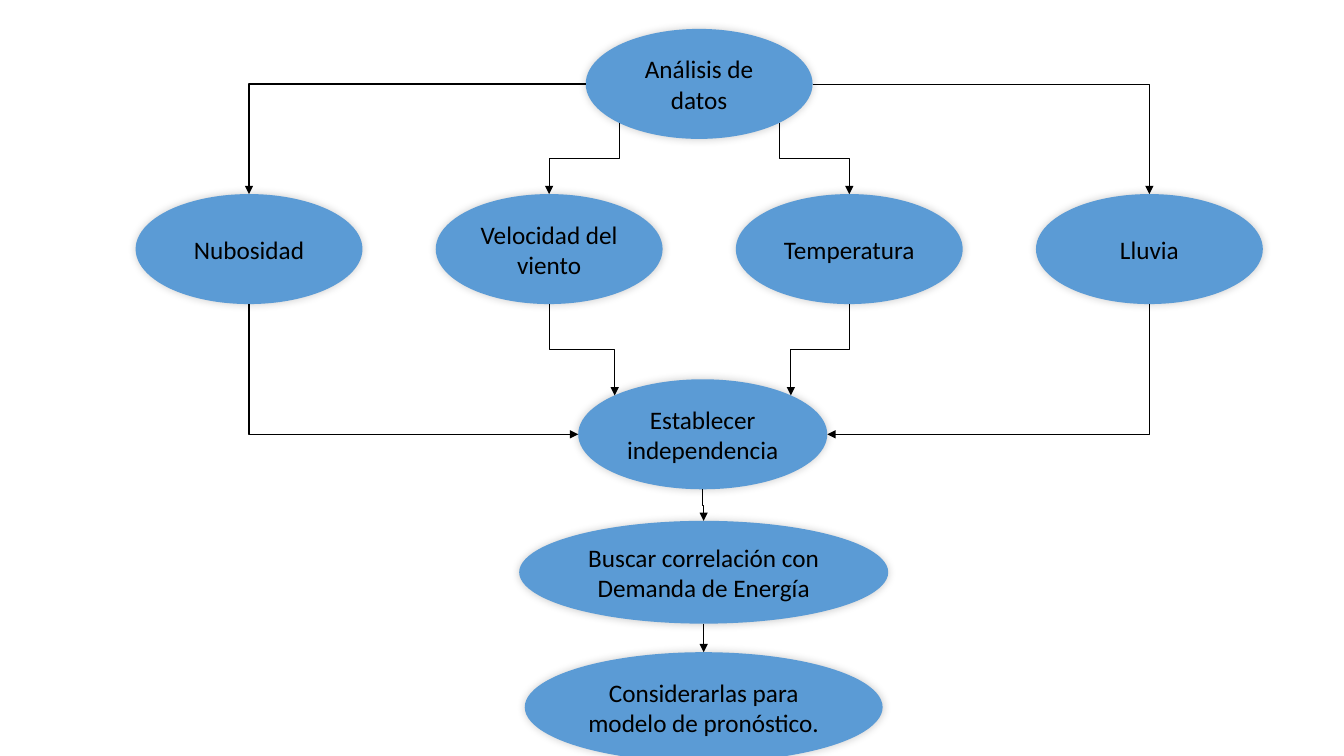
from math import sqrt

from pptx import Presentation
from pptx import util as u
from pptx.dml import color
from pptx.enum import shapes, text
from pptx.oxml import parse_xml
from pptx.oxml import ns

presentation = Presentation()
presentation.slide_width = u.Inches(13.33)
presentation.slide_height = u.Inches(7.5)
slide = presentation.slides.add_slide(presentation.slide_layouts[6])
column = presentation.slide_width / 100
row = presentation.slide_height / 100

SHADOW = (
    f'<a:outerShdw {ns.nsdecls("a")} blurRad="76200" dist="0" dir="13500000" '
    'algn="ctr" rotWithShape="0"><a:srgbClr val="000000">'
    '<a:alpha val="20000"/></a:srgbClr></a:outerShdw>'
)
ARROWHEAD = f'<a:tailEnd {ns.nsdecls("a")} type="triangle"/>'
NO_EFFECTS = f'<a:effectLst {ns.nsdecls("a")}/>'


def paint(color_format, value):
    color_format.rgb = color.RGBColor.from_string(value)


first_centre, centre_step = 18.53, 22.33
variables = ["Nubosidad", "Velocidad del viento", "Temperatura", "Lluvia"]
steps = {
    "Análisis de datos": (52.02, 11.1, 16.88, 14.55),
    "Establecer independencia": (52.29, 57.45, 18.53, 14.55),
    "Buscar correlación con Demanda de Energía": (52.36, 75.7, 27.46, 13.6),
    "Considerarlas para modelo de pronóstico.": (52.36, 93.55, 26.63, 14.55),
}
nodes = {
    name: (first_centre + centre_step * index, 32.95, 16.88, 14.55)
    for index, name in enumerate(variables)
}
nodes.update(steps)

sites = {}
for name, (centre_x, centre_y, width, height) in nodes.items():
    shape = slide.shapes.add_shape(
        shapes.MSO_SHAPE.OVAL,
        round((centre_x - width / 2) * column), round((centre_y - height / 2) * row),
        round(width * column), round(height * row),
    )
    shape.fill.solid()
    paint(shape.fill.fore_color, "5B9BD5")
    shape.line.fill.background()
    shape.shadow.inherit = False
    shape.element.spPr.find(ns.qn("a:effectLst")).append(parse_xml(SHADOW))
    frame = shape.text_frame
    frame.word_wrap = True
    frame.vertical_anchor = text.MSO_ANCHOR.MIDDLE
    paragraph = frame.paragraphs[0]
    paragraph.alignment = text.PP_ALIGN.CENTER
    run = paragraph.add_run()
    run.text = name
    run.font.name = "Calibri"
    run.font.size = u.Pt(18)
    paint(run.font.color, "000000")

    for vertical, down in (("top", -1), ("middle", 0), ("bottom", 1)):
        for horizontal, across in (("left", -1), ("centre", 0), ("right", 1)):
            reach = 2 * sqrt(2) if down and across else 2
            sites[name, vertical, horizontal] = (
                (centre_x + across * width / reach) * column,
                (centre_y + down * height / reach) * row,
            )


def connect(start, end, preset, vertical_first, weight=0.5):
    (start_x, start_y), (end_x, end_y) = sites[start], sites[end]
    ends, rotation = (start_x, start_y, end_x, end_y), 0
    if vertical_first:
        middle_x, middle_y = (start_x + end_x) / 2, (start_y + end_y) / 2
        half_width, half_height = (end_y - start_y) / 2, abs(end_x - start_x) / 2
        side = -1 if end_x > start_x else 1
        ends = (middle_x - side * half_width, middle_y - half_height,
                middle_x + side * half_width, middle_y + half_height)
        rotation = 270 if end_x > start_x else 90
    connector = slide.shapes.add_connector(
        shapes.MSO_CONNECTOR.ELBOW, *[round(value) for value in ends])
    connector.line.width = u.Pt(weight)
    paint(connector.line.color, "000000")
    properties = connector.element.spPr
    if rotation:
        properties.find(ns.qn("a:xfrm")).set("rot", str(rotation * 60000))
    properties.find(ns.qn("a:prstGeom")).set("prst", preset)
    properties.find(ns.qn("a:ln")).append(parse_xml(ARROWHEAD))
    properties.append(parse_xml(NO_EFFECTS))


analysis, independence, correlation, model = steps
for index, name in enumerate(variables):
    side = "left" if index < 2 else "right"
    outer = index in (0, 3)
    bend = "bentConnector2" if outer else "bentConnector3"
    weight = 1 if index == 0 else 0.5
    connect((analysis, "middle" if outer else "bottom", side),
            (name, "top", "centre"), bend, not outer, weight)
    connect((name, "bottom", "centre"),
            (independence, "middle" if outer else "top", side), bend, True, weight)

connect((independence, "bottom", "centre"), (correlation, "top", "centre"),
        "bentConnector3", True)
connect((correlation, "bottom", "centre"), (model, "top", "centre"),
        "straightConnector1", False)

presentation.save("out.pptx")
